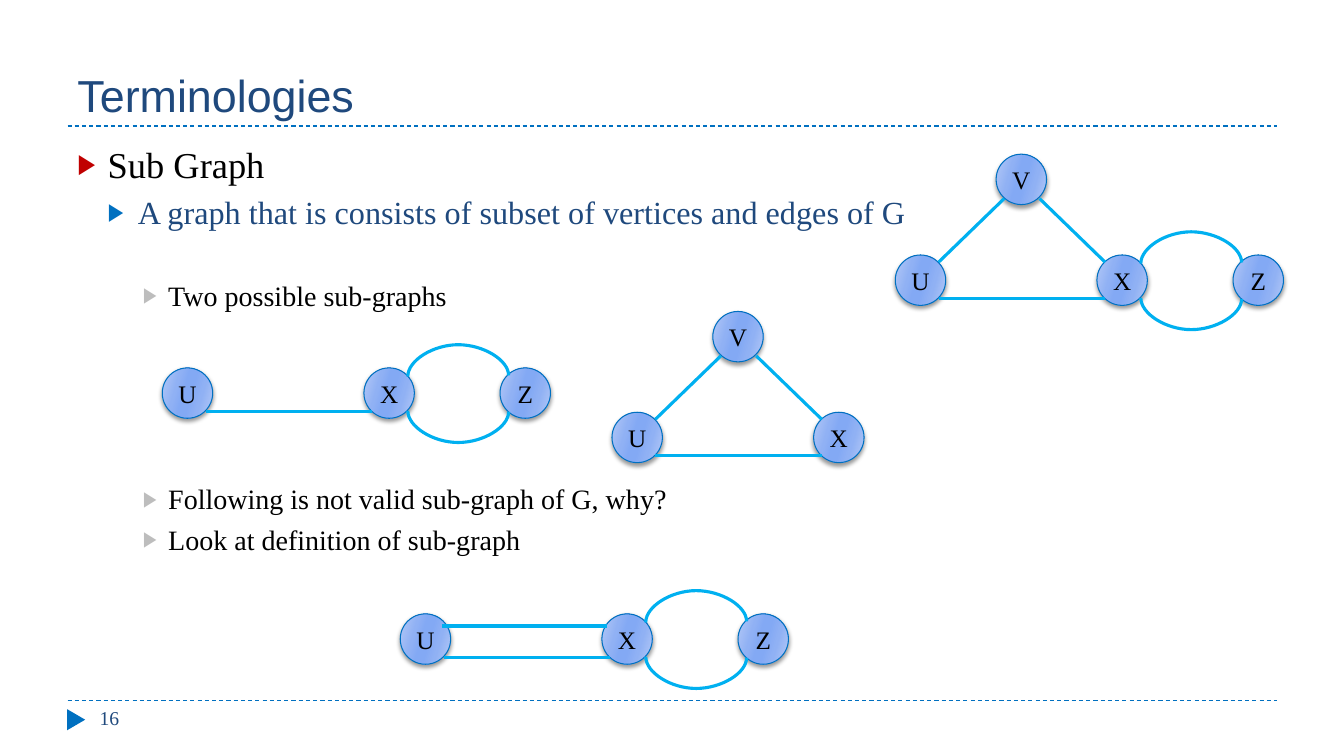
"""Build the Terminologies slide on sub-graphs."""
from lxml.etree import SubElement
from pptx import Presentation
from pptx.dml.color import RGBColor
from pptx.enum.dml import MSO_LINE
from pptx.enum.shapes import MSO_CONNECTOR, MSO_SHAPE
from pptx.enum.text import MSO_ANCHOR, PP_ALIGN
from pptx.oxml.ns import qn
from pptx.util import Pt

PX = 9144
SERIF = "Times New Roman"
NAVY, BLUE, CYAN = "1F497D", "0070C0", "00B0F0"


def rgb(color):
    return RGBColor.from_string(color)


def add_line(shapes, ends, color, width, kind=MSO_CONNECTOR.STRAIGHT):
    c = shapes.add_connector(kind, *[v * PX for v in ends])
    c.line.color.rgb = rgb(color)
    c.line.width = Pt(width)
    SubElement(c._element.spPr, qn("a:effectLst"))
    return c


prs = Presentation()
prs.slide_width, prs.slide_height = 1333 * PX, 750 * PX
s = prs.slides.add_slide(prs.slide_layouts[6])

for y in (695, 125):
    add_line(s.shapes, (67, y, 1267, y), BLUE, 0.75).line.dash_style = MSO_LINE.DASH

marker = s.shapes.add_shape(MSO_SHAPE.ISOSCELES_TRIANGLE, 65 * PX, 705 * PX, 21 * PX, 18 * PX)
marker.rotation = 90
marker.shadow.inherit = False
marker.fill.solid()
marker.fill.fore_color.rgb = rgb(BLUE)
marker.line.fill.background()

boxes = [
    ((67, 17, 1200, 108), MSO_ANCHOR.BOTTOM, "Arial",
     [("Terminologies", 32, NAVY, 0, 0, 0, None)]),
    ((89, 695, 289, 40), MSO_ANCHOR.TOP, SERIF,
     [("16", 14, NAVY, 0, 0, 0, None)]),
    ((67, 136, 1200, 537), MSO_ANCHOR.TOP, SERIF, [
        ("Sub Graph", 26, "000000", 0, 30, 30, "C00000"),
        ("A graph that is consists of subset of vertices and edges of G",
         23, NAVY, 5, 60, 30, BLUE),
        ("Two possible sub-graphs", 20, "000000", 34, 90, 25, "BDBDBD"),
        ("Following is not valid sub-graph of G, why?", 20, "000000", 121, 90, 25, "BDBDBD"),
        ("Look at definition of sub-graph", 20, "000000", 5, 90, 25, "BDBDBD"),
    ]),
]
for area, anchor, font, paragraphs in boxes:
    tf = s.shapes.add_textbox(*[v * PX for v in area]).text_frame
    tf.word_wrap = True
    tf.vertical_anchor = anchor
    for i, (text, size, color, before, margin, hanging, bullet) in enumerate(paragraphs):
        p = tf.add_paragraph() if i else tf.paragraphs[0]
        if before:
            p.space_before = Pt(before)
        if bullet:
            pPr = p._p.get_or_add_pPr()
            pPr.set("marL", str(margin * PX))
            pPr.set("indent", str(-hanging * PX))
            SubElement(SubElement(pPr, qn("a:buClr")), qn("a:srgbClr"), val=bullet)
            SubElement(pPr, qn("a:buSzPct"), val="76000")
            SubElement(pPr, qn("a:buFont"), typeface="Arial")
            SubElement(pPr, qn("a:buChar"), char="▶")
        r = p.add_run()
        r.text = text
        r.font.name, r.font.size = font, Pt(size)
        r.font.color.rgb = rgb(color)

stops = [(0, "B4C9F6"), (30, "90B1F4"), (45, "83A9F4"),
         (55, "83A9F4"), (73, "90B1F4"), (100, "B4C9F6")]
nodes = {"X": (200, 0), "U": (0, 0), "V": (100, -100), "Z": (335, 0)}
edges = {"UV": (108, -56, 43, 7), "UX": (208, 43, 43, 43), "VX": (143, -56, 208, 7)}
arches = [((294, -7, 293, 93), 270), ((294, 58, 293, -42), 90)]
graphs = [(888, 253, "XUVZ"), (161, 365, "XUZ"), (607, 409, "XUV"), (397, 609, "XUZ")]

for left, top, names in graphs:
    group = s.shapes.add_group_shape().shapes
    for name in names:
        dx, dy = nodes[name]
        sp = group.add_shape(MSO_SHAPE.OVAL, (left + dx) * PX, (top + dy) * PX, 50 * PX, 50 * PX)
        sp.fill.gradient()
        sp.fill.gradient_angle = 344
        gs_list = sp._element.spPr.find(".//" + qn("a:gsLst"))
        gs_list.clear()
        for pos, color in stops:
            gs = SubElement(gs_list, qn("a:gs"), pos=str(pos * 1000))
            SubElement(gs, qn("a:srgbClr"), val=color)
        sp.line.color.rgb = rgb(BLUE)
        sp.line.width = Pt(0.75)
        sp.shadow.inherit = False
        effects = sp._element.spPr.find(qn("a:effectLst"))
        shadow = SubElement(effects, qn("a:outerShdw"), blurRad=str(Pt(3)), dist=str(Pt(2)),
                            dir="5400000", rotWithShape="0")
        black = SubElement(shadow, qn("a:srgbClr"), val="000000")
        SubElement(black, qn("a:alpha"), val="40000")
        tf = sp.text_frame
        tf.word_wrap = False
        tf.vertical_anchor = MSO_ANCHOR.MIDDLE
        p = tf.paragraphs[0]
        p.alignment = PP_ALIGN.CENTER
        r = p.add_run()
        r.text = name
        r.font.name, r.font.size = SERIF, Pt(18)
        r.font.color.rgb = rgb("000000")
    for pair, (x1, y1, x2, y2) in edges.items():
        if set(pair) <= set(names):
            add_line(group, (left + x1, top + y1, left + x2, top + y2), CYAN, 2.25)
    if "Z" in names:
        for (x1, y1, x2, y2), angle in arches:
            c = add_line(group, (left + x1, top + y1, left + x2, top + y2),
                         CYAN, 2.25, MSO_CONNECTOR.CURVE)
            c._element.spPr.find(qn("a:xfrm")).set("rot", str(angle * 60000))
            guides = c._element.spPr.find(".//" + qn("a:avLst"))
            SubElement(guides, qn("a:gd"), name="adj1", fmla="val 3200000")

add_line(s.shapes, (602, 621, 438, 621), CYAN, 2.25)

prs.save("out.pptx")
